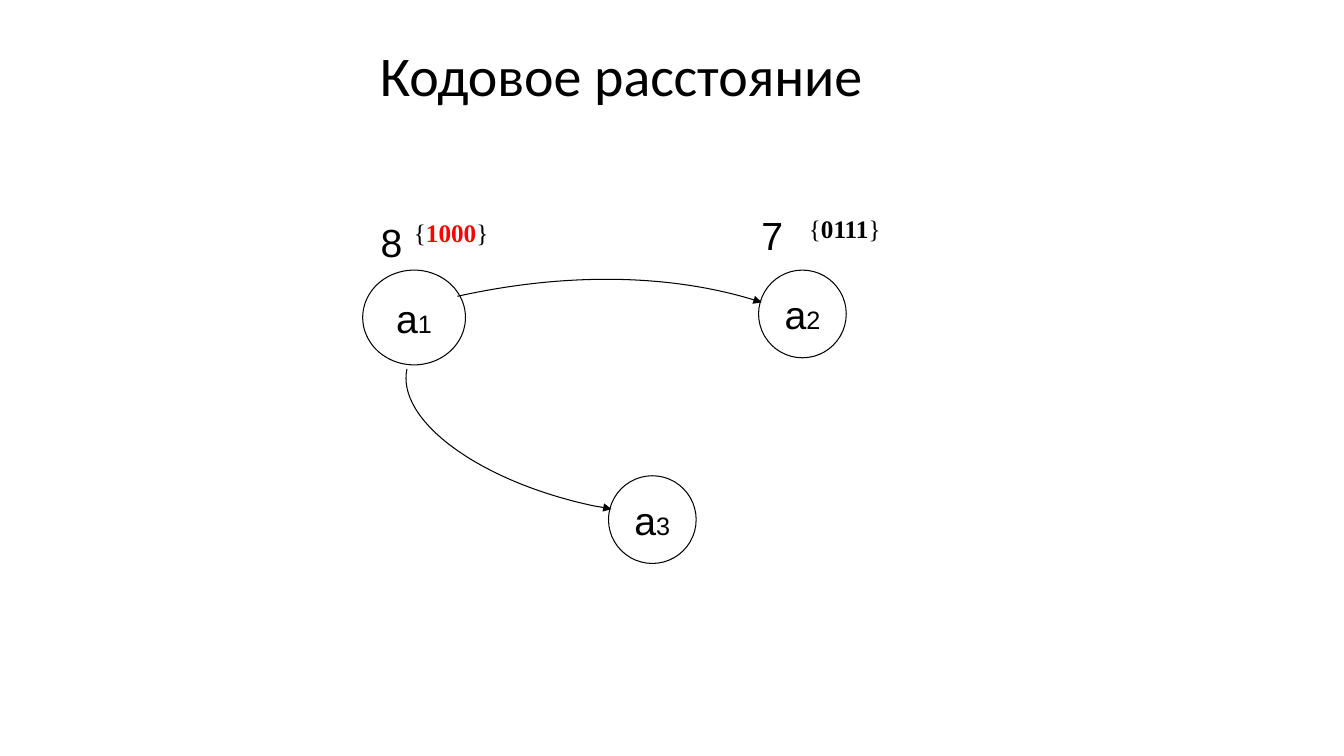
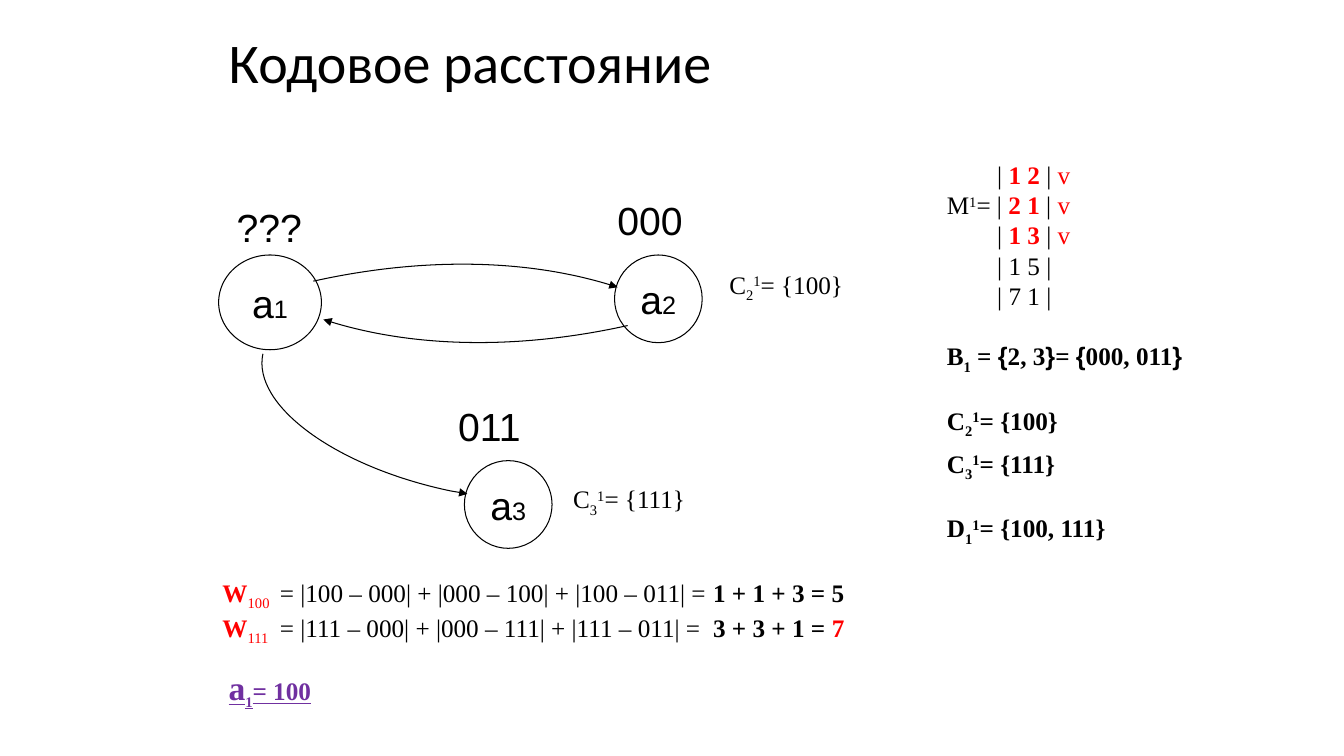
from dataclasses import dataclass

import lxml.etree
import pptx
import pptx.dml.color
import pptx.enum.text
import pptx.oxml.ns
import pptx.shapes.autoshape
import pptx.slide
import pptx.text.text
import pptx.util

UNIT = 9144
WIDE, HIGH = 1334, 750
HUES = {"ink": "000000", "red": "FF0000", "plum": "7030A0"}
SANS, SERIF, HEAD = "Arial", "Times New Roman", "Calibri"
SUB, SUP = -25, 30
TITLE = "Кодовое расстояние"


@dataclass(frozen=True)
class Run:
    text: str
    hue: str = "ink"
    bold: bool = False
    base: int = 0
    size: int = 18
    font: str = SERIF
    under: bool = False


@dataclass(frozen=True)
class Para:
    runs: list[Run]
    before: float = 0
    after: float = 0
    dent: int = 0
    tabs: tuple[int, ...] = ()


@dataclass(frozen=True)
class Box:
    x: int
    y: int
    w: int
    h: int

    def move(self, dx: int, dy: int) -> "Box":
        return Box(self.x + dx, self.y + dy, self.w, self.h)

    def emu(self) -> tuple[int, ...]:
        return tuple(px(n) for n in (self.x, self.y, self.w, self.h))


Curve = list[tuple[int, int]]

NODES = [Box(360, 268, 102, 94), Box(753, 268, 87, 87), Box(604, 472, 87, 87)]
TAGS = [Box(368, 212, 102, 57), Box(746, 205, 102, 57), Box(588, 409, 102, 57)]
ARCS: list[Curve] = [
    [(454, 294), (562, 270), (671, 272), (756, 300)],
    [(404, 366), (393, 417), (476, 478), (590, 502), (596, 503), (602, 504), (607, 505)],
]
BACK: Curve = [(766, 338), (658, 362), (549, 360), (464, 332)]


def px(n: int) -> pptx.util.Emu:
    return pptx.util.Emu(n * UNIT)


def tint(hue: str) -> pptx.dml.color.RGBColor:
    return pptx.dml.color.RGBColor.from_string(HUES[hue])


def add_runs(para: pptx.text.text._Paragraph, runs: list[Run]) -> None:
    for item in runs:
        run = para.add_run()
        run.text = item.text
        font = run.font
        font.name, font.size = item.font, pptx.util.Pt(item.size)
        font.bold, font.underline = item.bold, item.under
        font.color.rgb = tint(item.hue)
        if item.base:
            run._r.get_or_add_rPr().set("baseline", str(item.base * 1000))


def add_text(slide: pptx.slide.Slide, box: Box, paras: list[Para]) -> None:
    frame = slide.shapes.add_textbox(*box.emu()).text_frame
    frame.word_wrap = True
    for i, item in enumerate(paras):
        para = frame.add_paragraph() if i else frame.paragraphs[0]
        props = para._p.get_or_add_pPr()
        if item.dent:
            props.set("marL", str(px(item.dent)))
        if item.tabs:
            stops = lxml.etree.SubElement(props, pptx.oxml.ns.qn("a:tabLst"))
            for stop in item.tabs:
                lxml.etree.SubElement(stops, pptx.oxml.ns.qn("a:tab"), pos=str(px(stop)), algn="l")
        para.space_before = pptx.util.Pt(item.before)
        para.space_after = pptx.util.Pt(item.after)
        add_runs(para, item.runs)


def add_title(slide: pptx.slide.Slide, box: Box) -> None:
    title = slide.shapes.title
    title.left, title.top, title.width, title.height = box.emu()
    frame = title.text_frame
    frame.auto_size = pptx.enum.text.MSO_AUTO_SIZE.NONE
    frame.vertical_anchor = pptx.enum.text.MSO_ANCHOR.MIDDLE
    para = frame.paragraphs[0]
    para.alignment = pptx.enum.text.PP_ALIGN.LEFT
    para.line_spacing = 0.9
    add_runs(para, [Run(TITLE, size=40, font=HEAD)])


def trace(shape: pptx.shapes.autoshape.Shape) -> None:
    shape.shadow.inherit = False
    shape.fill.background()
    shape.line.color.rgb = tint("ink")
    shape.line.width = pptx.util.Pt(0.75)


def add_node(slide: pptx.slide.Slide, box: Box, mark: str) -> None:
    node = slide.shapes.add_shape(pptx.enum.shapes.MSO_SHAPE.OVAL, *box.emu())
    trace(node)
    frame = node.text_frame
    frame.word_wrap = False
    frame.vertical_anchor = pptx.enum.text.MSO_ANCHOR.MIDDLE
    para = frame.paragraphs[0]
    para.alignment = pptx.enum.text.PP_ALIGN.CENTER
    add_runs(para, [Run("a", size=28, font=SANS), Run(mark, font=SANS)])


def add_arc(slide: pptx.slide.Slide, curve: Curve, dx: int, dy: int) -> None:
    spots = [(x + dx, y + dy) for x, y in curve]
    pen = slide.shapes.build_freeform(*spots[0], scale=float(UNIT))
    pen.add_line_segments(spots[1:], close=False)
    arc = pen.convert_to_shape()
    trace(arc)
    qn = pptx.oxml.ns.qn
    route = next(arc._element.iter(qn("a:path")))
    lines = route.findall(qn("a:lnTo"))
    for i in range(0, len(lines), 3):
        bend = lxml.etree.SubElement(route, qn("a:cubicBezTo"))
        for line in lines[i:i + 3]:
            bend.append(line[0])
            route.remove(line)
    edge = arc._element.spPr.find(qn("a:ln"))
    lxml.etree.SubElement(edge, qn("a:tailEnd"), type="triangle")


def add_graph(slide: pptx.slide.Slide, tags: list[str], dx: int = 0, dy: int = 0) -> None:
    for i, box in enumerate(NODES, 1):
        add_node(slide, box.move(dx, dy), str(i))
    for curve in ARCS:
        add_arc(slide, curve, dx, dy)
    for box, tag in zip(TAGS, tags):
        add_text(slide, box.move(dx, dy), [Para([Run(tag, size=28, font=SANS)])])


def term(name: str, low: str, tail: str, bold: bool = False) -> list[Run]:
    return [
        Run(name, bold=bold),
        Run(low, bold=bold, base=SUB),
        Run("1", bold=bold, base=SUP),
        Run(f"= {tail}", bold=bold),
    ]


def picked(pair: str) -> list[Run]:
    return [Run("| "), Run(pair, "red", True), Run(" | "), Run("v", "red")]


def weight(code: str, terms: str, sums: list[Run]) -> Para:
    runs = [Run("W", "red", True), Run(code, "red", base=SUB), Run(f"\t= {terms} =\t")]
    return Para(runs + sums, tabs=(57, 487))


def braced(body: str) -> list[Run]:
    return [
        Run("{", bold=True, font=SANS),
        Run(body, bold=True),
        Run("}", bold=True, font=SANS),
    ]


def first_slide(slide: pptx.slide.Slide) -> None:
    add_title(slide, Box(367, 43, 534, 69))
    add_graph(slide, ["8", "7"])
    for box, code, hue in [
        (Box(793, 207, 142, 40), "0111", "ink"),
        (Box(401, 211, 142, 40), "1000", "red"),
    ]:
        add_text(slide, box, [Para([Run("{"), Run(code, hue, True), Run("}")])])


def second_slide(slide: pptx.slide.Slide) -> None:
    add_title(slide, Box(217, 30, 900, 69))
    dx, dy = -143, -15
    add_graph(slide, ["???", "000", "011"], dx, dy)
    add_arc(slide, BACK, dx, dy)
    add_text(slide, Box(714, 262, 142, 44), [Para(term("C", "2", "{100}"))])
    add_text(slide, Box(559, 475, 142, 44), [Para(term("C", "3", "{111}"))])
    add_text(slide, Box(217, 657, 196, 53), [Para([
        Run("a", "plum", True, size=24, under=True),
        Run("1", "plum", True, SUB, under=True),
        Run("= 100", "plum", True, under=True),
    ])])
    add_text(slide, Box(211, 568, 771, 74), [
        weight("100", "|100 – 000| + |000 – 100| + |100 – 011|",
               [Run("1 + 1 + 3 = 5", bold=True)]),
        weight("111", "|111 – 000| + |000 – 111| + |111 – 011|",
               [Run("3 + 3 + 1 = ", bold=True), Run("7", "red", True)]),
    ])
    gap, dent = 21.6, 50
    basis = [Run("B", bold=True), Run("1", bold=True, base=SUB), Run(" = ", bold=True)]
    basis += braced("2, 3") + [Run("= ", bold=True)] + braced("000, 011")
    add_text(slide, Box(930, 153, 276, 515), [
        Para(picked("1 2"), dent=dent),
        Para([Run("M"), Run("1", base=SUP), Run("= ")] + picked("2 1")),
        Para(picked("1 3"), dent=dent),
        Para([Run("| 1 5 |")], dent=dent),
        Para([Run("| 7 1 |")], dent=dent),
        Para(basis, before=gap),
        Para(term("C", "2", "{100}", True), before=gap, after=6),
        Para(term("C", "3", "{111}", True)),
        Para(term("D", "1", "{100, 111}", True), before=gap),
    ])


def main() -> None:
    deck = pptx.Presentation()
    deck.slide_width, deck.slide_height = px(WIDE), px(HIGH)
    for fill in (first_slide, second_slide):
        fill(deck.slides.add_slide(deck.slide_layouts[5]))
    deck.save("out.pptx")


if __name__ == "__main__":
    main()
